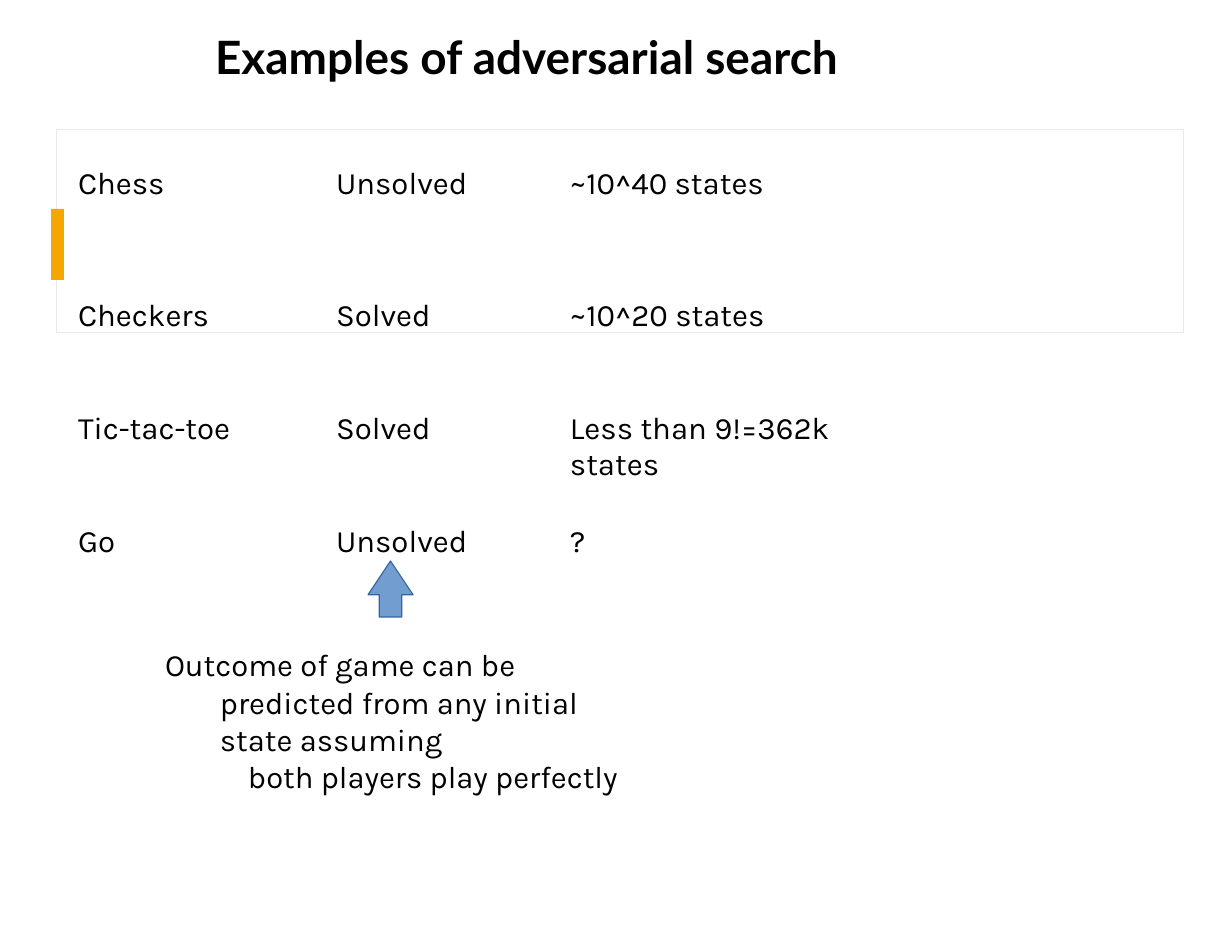
import pptx
import pptx.util
import pptx.dml.color
import pptx.enum.shapes
import pptx.enum.text

SCALE = 914400 / 112
COLORS = {
    "text": "000000",
    "frame": "E9E9E9",
    "bar": "F5A700",
    "arrow": "719ECE",
    "edge": "3364A3",
}
PLAIN = "{2D5ABB26-0587-4C30-8999-92F81FD0307C}"
KINDS = pptx.enum.shapes.MSO_SHAPE
GAMES = [
    ("Chess", "Unsolved", "~10^40 states"),
    ("Checkers", "Solved", "~10^20 states"),
    ("Tic-tac-toe", "Solved", "Less than 9!=362k states"),
    ("Go", "Unsolved", "?"),
]
WIDTHS = (205, 237, 403)
HEIGHTS = (93, 113, 113, 74)
INDENTS = (3, 56, 53)


def px(n):
    return pptx.util.Emu(round(n * SCALE))


def color(name):
    return pptx.dml.color.RGBColor.from_string(COLORS[name])


def style(para, face, size, bold=False):
    for run in para.runs:
        run.font.name = face
        run.font.size = pptx.util.Pt(size)
        run.font.bold = bold
        run.font.color.rgb = color("text")


def pad(box, left=0, top=0, right=0):
    box.margin_left = px(left)
    box.margin_top = px(top)
    box.margin_right = px(right)
    box.margin_bottom = 0


def add_title(slide, text):
    title = slide.shapes.title
    title.left, title.top, title.width, title.height = map(px, (28, 28, 922, 57))
    frame = title.text_frame
    frame.text = text
    frame.word_wrap = True
    frame.vertical_anchor = pptx.enum.text.MSO_ANCHOR.TOP
    pad(frame, left=187, top=1)
    para = frame.paragraphs[0]
    para.alignment = pptx.enum.text.PP_ALIGN.LEFT
    style(para, "Lato", 29.5, True)


def add_shape(slide, kind, place, fill=None, line=None, width=0.75):
    shape = slide.shapes.add_shape(kind, *map(px, place))
    shape.shadow.inherit = False
    if fill:
        shape.fill.solid()
        shape.fill.fore_color.rgb = color(fill)
    else:
        shape.fill.background()
    if line:
        shape.line.color.rgb = color(line)
        shape.line.width = pptx.util.Pt(width)
    else:
        shape.line.fill.background()
    return shape


def add_games(slide):
    place = (75, 168, sum(WIDTHS), sum(HEIGHTS))
    item = slide.shapes.add_table(len(GAMES), len(WIDTHS), *map(px, place))
    table = item.table
    table.first_row = table.horz_banding = False
    table._tbl.tblPr[0].text = PLAIN
    for col, width in zip(table.columns, WIDTHS):
        col.width = px(width)
    for r, (game, height) in enumerate(zip(GAMES, HEIGHTS)):
        table.rows[r].height = px(height)
        for c, (text, indent) in enumerate(zip(game, INDENTS)):
            cell = table.cell(r, c)
            cell.fill.background()
            pad(cell, left=indent, top=37 if r else 0)
            cell.text_frame.text = text
            para = cell.text_frame.paragraphs[0]
            if r == 0:
                para.line_spacing = pptx.util.Pt(22)
            style(para, "Karla", 20)


def add_note(slide, lines):
    box = slide.shapes.add_textbox(*map(px, (164, 644, 488, 115)))
    frame = box.text_frame
    frame.word_wrap = True
    pad(frame, top=2, right=6)
    frame.text = "\n".join(text for text, left, first in lines)
    for para, (text, left, first) in zip(frame.paragraphs, lines):
        props = para._p.get_or_add_pPr()
        props.set("marL", str(px(left)))
        props.set("indent", str(px(first)))
        style(para, "Karla", 19.9)


def main():
    deck = pptx.Presentation()
    deck.slide_width, deck.slide_height = px(1232), px(952)
    slide = deck.slides.add_slide(deck.slide_layouts[5])
    add_shape(slide, KINDS.RECTANGLE, (56, 129, 1128, 204), line="frame", width=0.6)
    add_shape(slide, KINDS.RECTANGLE, (51, 209, 13, 71), fill="bar")
    add_title(slide, "Examples of adversarial search")
    add_games(slide)
    add_note(slide, [
        ("Outcome of game can be predicted from any initial state assuming", 56, -55),
        ("both players play perfectly", 84, 0),
    ])
    arrow = add_shape(slide, KINDS.UP_ARROW, (368, 561, 45, 56), "arrow", "edge")
    arrow.adjustments[0] = 0.5
    arrow.adjustments[1] = 0.75
    deck.save("out.pptx")


if __name__ == "__main__":
    main()
